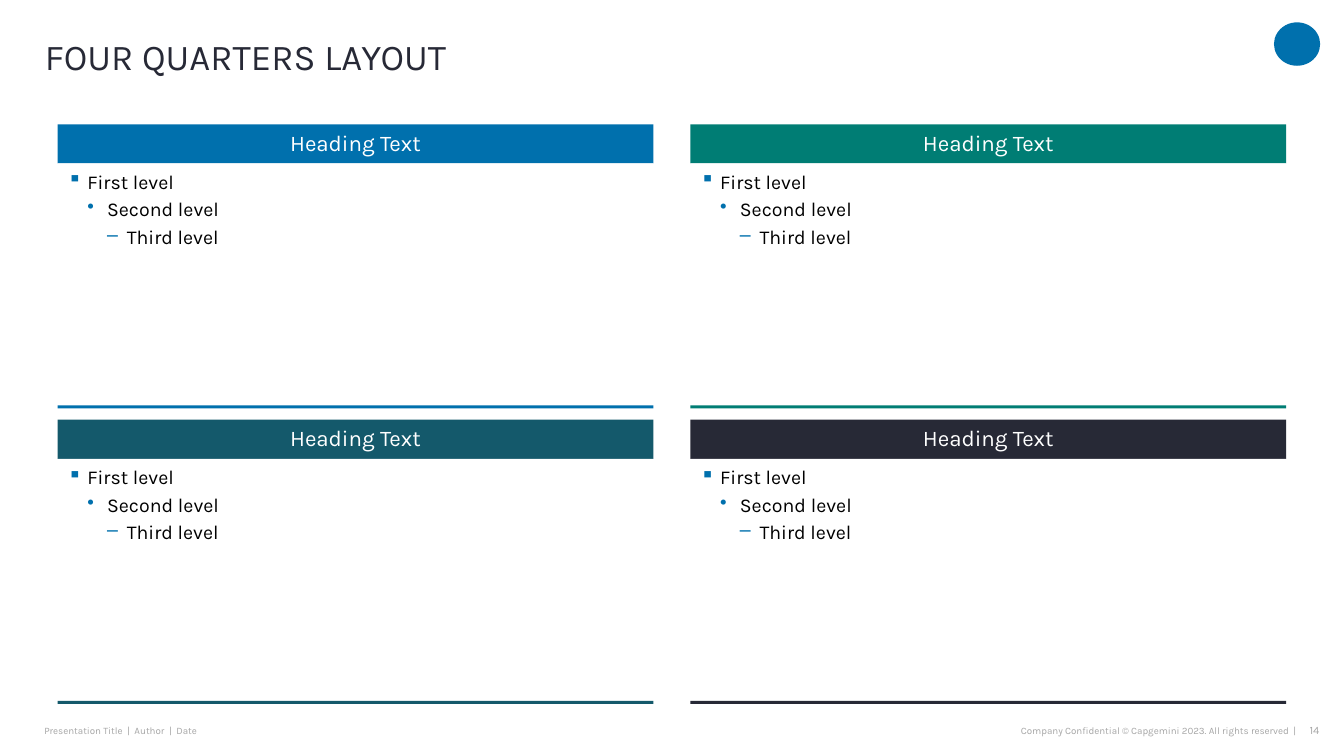
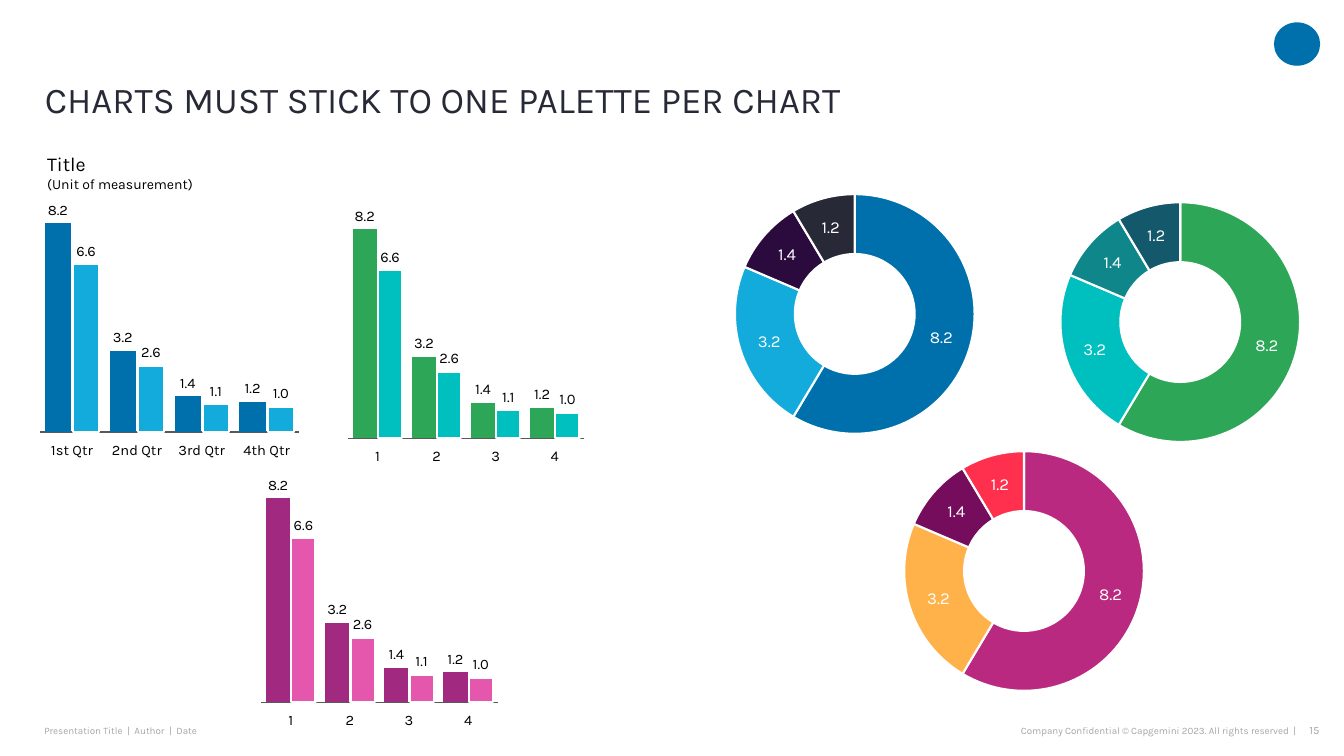
"""Build a four-quarters layout slide and a chart palette slide."""
from lxml.etree import SubElement
from pptx import Presentation
from pptx.chart.data import CategoryChartData
from pptx.dml.color import RGBColor
from pptx.enum.chart import XL_CHART_TYPE, XL_LABEL_POSITION, XL_TICK_LABEL_POSITION, XL_TICK_MARK
from pptx.enum.shapes import MSO_SHAPE
from pptx.enum.text import MSO_ANCHOR, PP_ALIGN
from pptx.oxml.ns import qn
from pptx.util import Pt

FONT = "Karla"
COLORS = {
    "white": "FFFFFF", "black": "000000", "footer": "A6A6A6", "axis": "595959",
    "ink": "272936", "blue": "0070AD", "sky": "12ABDB", "violet": "2B0A3D",
    "pine": "007D74", "petrol": "14596B", "green": "2EA657", "aqua": "00BFBF",
    "teal": "0F878A", "purple": "A12980", "pink": "E557AD", "magenta": "BA2980",
    "amber": "FFB24A", "plum": "750D5C", "red": "FF304D",
}

FOOTER = "Presentation Title  |  Author  |  Date"
COPYRIGHT = "Company Confidential © Capgemini 2023. All rights reserved  |"

QUARTERS_TITLE = "FOUR QUARTERS LAYOUT"
QUARTERS = [("Heading Text", c) for c in ("blue", "pine", "petrol", "ink")]
LEVELS = [("▪", "First level"), ("•", "Second level"), ("–", "Third level")]

CHARTS_TITLE = "CHARTS MUST STICK TO ONE PALETTE PER CHART"
CAPTION = [("Title", 14), ("(Unit of measurement)", 10)]
SERIES = [("Series 1", (8.2, 3.2, 1.4, 1.2)), ("Series 2", (6.6, 2.6, 1.1, 1))]
NUMBERS = ["1", "2", "3", "4"]
QUARTER_NAMES = ["1st Qtr", "2nd Qtr", "3rd Qtr", "4th Qtr"]
COLUMN_CHARTS = [
    {"box": (20.2, 137.5, 201.6, 190.8), "cats": QUARTER_NAMES, "overlap": -8,
     "plot": (0.04, 0.04, 0.92, 0.87), "palette": ("blue", "sky")},
    {"box": (241.2, 137.5, 183.6, 197.3), "cats": NUMBERS, "overlap": -5,
     "plot": (0.04, 0.06, 0.92, 0.83), "palette": ("green", "aqua")},
    {"box": (179.3, 330.5, 183.6, 190.8), "cats": NUMBERS, "overlap": -5,
     "plot": (0.04, 0.06, 0.92, 0.85), "palette": ("purple", "pink")},
]
RING_SIZE = (193, 203.8)
RING_PLOT = (0.05, 0.08, 0.9, 0.84)
RING_CHARTS = [
    ((514.1, 122.4), ("blue", "sky", "violet", "ink")),
    ((746.6, 128.2), ("green", "aqua", "teal", "petrol")),
    ((635, 306), ("magenta", "amber", "plum", "red")),
]


def rgb(name):
    return RGBColor.from_string(COLORS[name])


def style(font, size, color):
    font.name, font.size = FONT, Pt(size)
    font.color.rgb = rgb(color)


def write(sp, lines, color, align=PP_ALIGN.LEFT, anchor=MSO_ANCHOR.TOP, inset=(0, 0), spacing=None):
    tf = sp.text_frame
    tf.word_wrap, tf.vertical_anchor = True, anchor
    tf.margin_left = tf.margin_right = Pt(inset[0])
    tf.margin_top = tf.margin_bottom = Pt(inset[1])
    tf.text = "\n".join(text for text, _ in lines)
    for p, (_, size) in zip(tf.paragraphs, lines):
        p.alignment = align
        if spacing:
            p.line_spacing = spacing
        style(p.runs[0].font, size, color)
    return tf


def add_text(s, box, lines, color, **options):
    return write(s.shapes.add_textbox(*map(Pt, box)), lines, color, **options)


def add_block(s, box, color, kind=MSO_SHAPE.RECTANGLE):
    sp = s.shapes.add_shape(kind, *map(Pt, box))
    sp.shadow.inherit = False
    sp.fill.solid()
    sp.fill.fore_color.rgb = rgb(color)
    sp.line.fill.background()
    return sp


def add_slide(prs, title, number, title_bottom):
    s = prs.slides.add_slide(prs.slide_layouts[6])
    add_block(s, (910, 16, 33, 31), "blue", MSO_SHAPE.OVAL)
    middle = MSO_ANCHOR.MIDDLE
    add_text(s, (31.7, 513.4, 268.6, 17.3), [(FOOTER, 7)], "footer", anchor=middle)
    add_text(s, (568.8, 513.4, 357.1, 17.3), [(COPYRIGHT, 7)], "footer",
             align=PP_ALIGN.RIGHT, anchor=middle)
    add_text(s, (924.5, 513.4, 18, 17.3), [(str(number), 8)], "footer",
             align=PP_ALIGN.RIGHT, inset=(0, 3.6))
    add_text(s, (32, 30, 861.8, title_bottom - 30), [(title, 26)], "ink",
             anchor=MSO_ANCHOR.BOTTOM, spacing=0.9)
    return s


def add_bullet(p, char, level):
    pPr = p._p.get_or_add_pPr()
    pPr.set("marL", str(Pt(14.1 * (level + 1))))
    pPr.set("indent", str(-Pt(14.1)))
    clr = SubElement(pPr, qn("a:buClr"))
    SubElement(clr, qn("a:srgbClr")).set("val", COLORS["blue"])
    SubElement(pPr, qn("a:buChar")).set("char", char)


def add_quarter(s, left, top, heading, color):
    width, head_h, body_h, rule_h = 425.5, 28, 175, 2.2
    head = add_block(s, (left, top, width, head_h), color)
    write(head, [(heading, 16)], "white", align=PP_ALIGN.CENTER,
          anchor=MSO_ANCHOR.MIDDLE, spacing=0.9)
    body = add_block(s, (left, top + head_h, width, body_h), "white")
    tf = write(body, [(text, 14) for _, text in LEVELS], "black", inset=(7.2, 4.3))
    for level, (p, (char, _)) in enumerate(zip(tf.paragraphs, LEVELS)):
        add_bullet(p, char, level)
        if level:
            p.space_before = Pt(3)
    add_block(s, (left, top + head_h + body_h - rule_h, width, rule_h), color)


def set_plot_area(chart, plot):
    area = chart._chartSpace.chart.plotArea
    for old in area.findall(qn("c:layout")):
        area.remove(old)
    layout = SubElement(area, qn("c:layout"))
    area.insert(0, layout)
    manual = SubElement(layout, qn("c:manualLayout"))
    settings = [("layoutTarget", "inner"), ("xMode", "edge"), ("yMode", "edge")]
    for tag, value in settings + list(zip("xywh", plot)):
        SubElement(manual, qn(f"c:{tag}")).set("val", str(value))


def add_chart(s, kind, box, cats, series, plot, size):
    data = CategoryChartData()
    data.categories = cats
    for name, values in series:
        data.add_series(name, values)
    chart = s.shapes.add_chart(kind, *map(Pt, box), data).chart
    chart.has_title = chart.has_legend = False
    style(chart.font, size, "black")
    set_plot_area(chart, plot)
    return chart


def paint(fmt, color, outline):
    fmt.fill.solid()
    fmt.fill.fore_color.rgb = rgb(color)
    if outline:
        fmt.line.color.rgb = rgb("white")
        fmt.line.width = Pt(1.5)
    else:
        fmt.line.fill.background()


def label(series, size, color):
    labels = series.data_labels
    labels.show_value = True
    labels.number_format, labels.number_format_is_linked = "0.0", False
    style(labels.font, size, color)
    return labels


def add_columns(s, box, cats, overlap, plot, palette):
    chart = add_chart(s, XL_CHART_TYPE.COLUMN_CLUSTERED, box, cats, SERIES, plot, 10.5)
    bars = chart.plots[0]
    bars.gap_width, bars.overlap, bars.vary_by_categories = 40, overlap, False
    for i, (series, color) in enumerate(zip(bars.series, palette)):
        series.invert_if_negative = False
        paint(series.format, color, outline=i > 0)
        label(series, 10.5, "black").position = XL_LABEL_POSITION.OUTSIDE_END
    axis = chart.value_axis
    axis.minimum_scale, axis.maximum_scale = 0, 9
    axis.has_major_gridlines = axis.visible = False
    axis = chart.category_axis
    axis.major_tick_mark = axis.minor_tick_mark = XL_TICK_MARK.NONE
    axis.tick_label_position = XL_TICK_LABEL_POSITION.LOW
    axis.format.line.color.rgb = rgb("axis")
    axis.format.line.width = Pt(1)
    style(axis.tick_labels.font, 10.5, "black")


def add_ring(s, corner, palette):
    chart = add_chart(s, XL_CHART_TYPE.DOUGHNUT, corner + RING_SIZE, NUMBERS,
                      SERIES[:1], RING_PLOT, 10)
    chart.plots[0].vary_by_categories = True
    series = chart.plots[0].series[0]
    for i, color in enumerate(palette):
        paint(series.points[i].format, color, outline=True)
    label(series, 12, "white")


def main():
    prs = Presentation()
    prs.slide_width, prs.slide_height = Pt(960), Pt(540)

    s = add_slide(prs, QUARTERS_TITLE, 14, 55.7)
    for i, (heading, color) in enumerate(QUARTERS):
        row, col = divmod(i, 2)
        add_quarter(s, 41.2 + 452 * col, 88.8 + 211 * row, heading, color)

    s = add_slide(prs, CHARTS_TITLE, 15, 86.4)
    add_text(s, (26.6, 105.1, 275, 36.7), CAPTION, "black", inset=(7.2, 3.6))
    for column_chart in COLUMN_CHARTS:
        add_columns(s, **column_chart)
    for corner, palette in RING_CHARTS:
        add_ring(s, corner, palette)

    prs.save("out.pptx")


if __name__ == "__main__":
    main()
